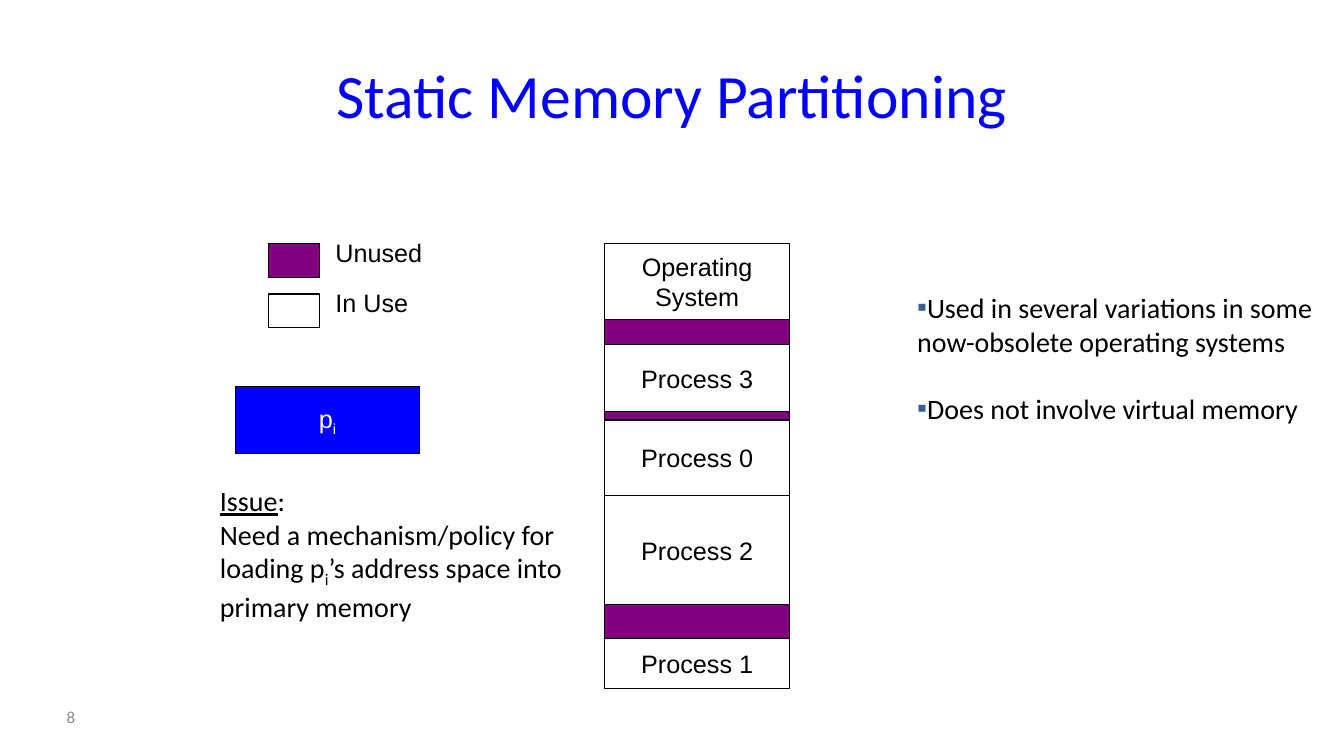
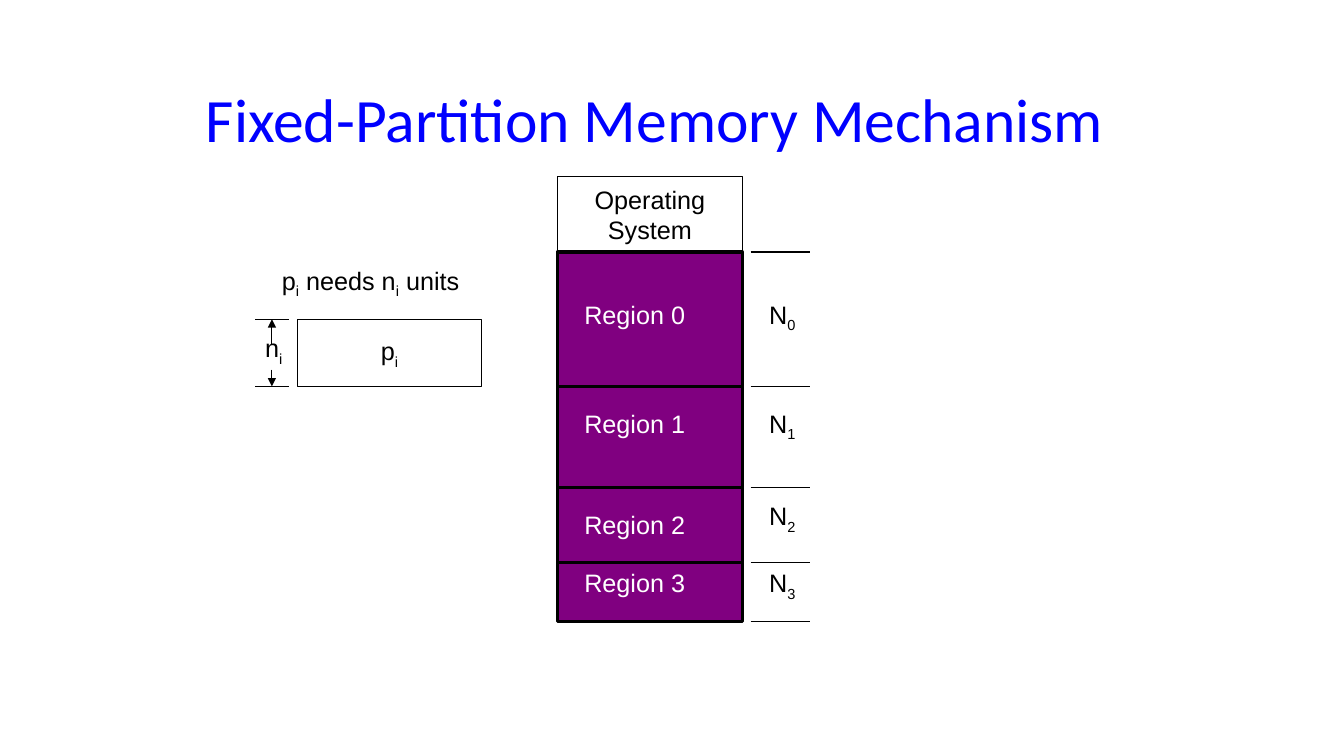
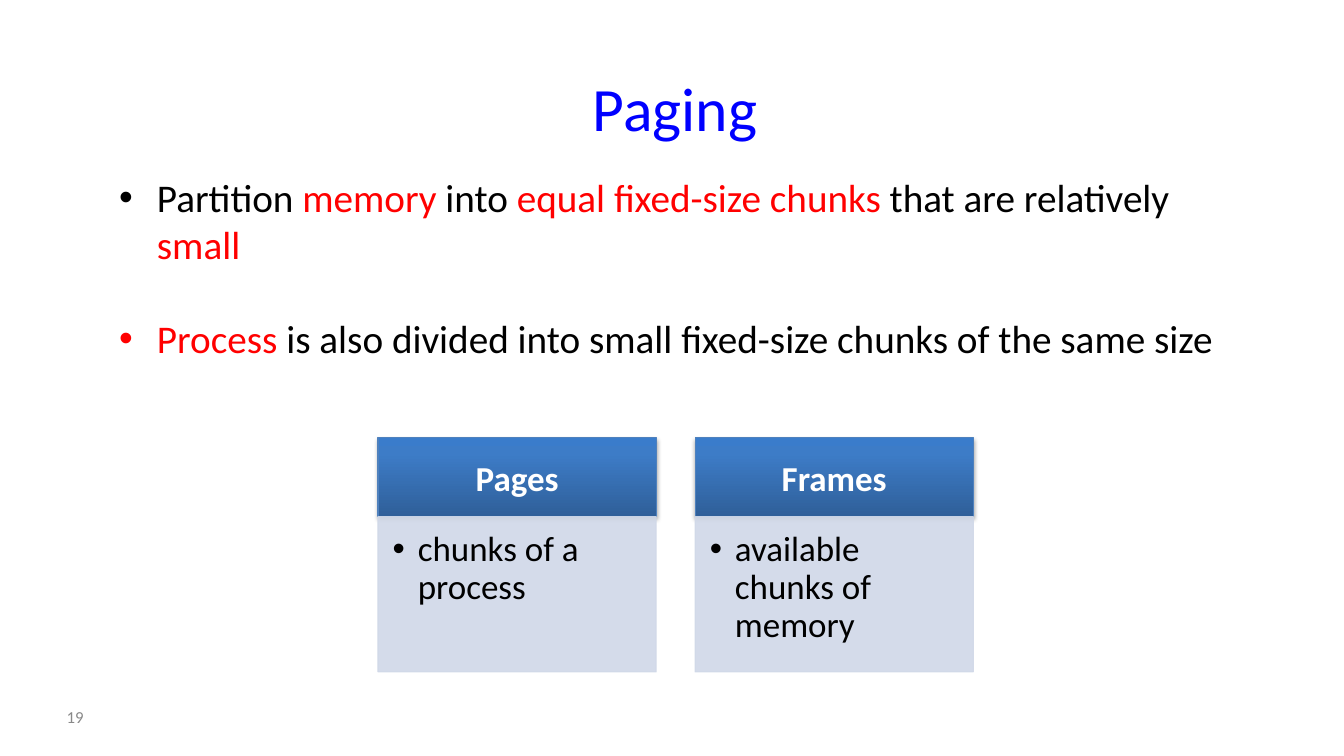
from copy import deepcopy

from lxml import etree
from pptx import Presentation
from pptx.dml.color import RGBColor
from pptx.enum.shapes import MSO_CONNECTOR, MSO_SHAPE
from pptx.enum.text import MSO_ANCHOR, PP_ALIGN
from pptx.oxml.ns import qn
from pptx.util import Emu, Pt

RECTANGLE = MSO_SHAPE.RECTANGLE
STRAIGHT = MSO_CONNECTOR.STRAIGHT
TOP, MIDDLE = MSO_ANCHOR.TOP, MSO_ANCHOR.MIDDLE
LEFT, CENTER = PP_ALIGN.LEFT, PP_ALIGN.CENTER

EMU_PER_PX = 9525
TITLE_ONLY = 5
BLACK, WHITE, BLUE, PURPLE, RED = "000000", "FFFFFF", "0000FF", "800080", "FF0000"
CARD_BODY, CARD_EDGE = "D0D8E8", "4F81BD"
CARD_GRADIENT = [(0, "2F5F99"), (0.8, "3D7CC7"), (1, "3A7CCB")]

# Text formats shared by the slides
TITLE = {"name": "Calibri", "size": Pt(44), "color": BLUE}
NUMBER = {"name": "Calibri", "size": Pt(12), "color": "898989"}
NOTE = {"name": "Calibri", "size": Pt(20), "color": BLACK}
BODY = {"name": "Calibri", "size": Pt(28), "color": BLACK}
CARD_TEXT = {"name": "Calibri", "size": Pt(25), "color": BLACK}
CARD_TITLE = {**CARD_TEXT, "color": WHITE, "bold": True}
LABEL = {"name": "Arial", "size": Pt(18), "color": BLACK}
LIGHT_LABEL = {**LABEL, "color": WHITE}

# Run overrides
SUBSCRIPT = {"baseline": "-25000"}
HIGHLIGHT = {"color": RED}
SUB_I = ("i", SUBSCRIPT)

BLOCK_WIDTH = 176


def px(value):
    return Emu(value * EMU_PER_PX)


def box(*lengths):
    return [px(length) for length in lengths]


def rgb(color):
    return RGBColor.from_string(color)


def add_xml(parent, tag, **attributes):
    return etree.SubElement(parent, qn(tag), attributes)


# Text
def add_run(paragraph, text, text_format):
    run = paragraph.add_run()
    run.text = text
    for key, value in text_format.items():
        if key == "color":
            run.font.color.rgb = rgb(value)
        elif key == "baseline":
            run.font._element.set("baseline", value)
        else:
            setattr(run.font, key, value)


def add_bullet(paragraph, character, margin, indent, color=None):
    properties = paragraph._p.get_or_add_pPr()
    properties.set("marL", str(px(margin)))
    properties.set("indent", str(px(indent)))
    if color:
        add_xml(add_xml(properties, "a:buClr"), "a:srgbClr", val=color)
    add_xml(properties, "a:buFont", typeface="Arial")
    add_xml(properties, "a:buChar", char=character)


def write_text(shape, paragraphs, text_format, align=LEFT, anchor=TOP, wrap=True,
               bullet=None, gap=0, line_spacing=None, insets=None):
    """Each paragraph is a list of runs: plain strings or (text, overrides)."""
    frame = shape.text_frame
    frame.word_wrap = wrap
    frame.vertical_anchor = anchor
    if insets:
        sides = ("margin_left", "margin_top", "margin_right", "margin_bottom")
        for side, inset in zip(sides, insets):
            setattr(frame, side, px(inset))
    for index, runs in enumerate(paragraphs):
        paragraph = frame.add_paragraph() if index else frame.paragraphs[0]
        if bullet:
            add_bullet(paragraph, **bullet)
        paragraph.alignment = align
        if line_spacing:
            paragraph.line_spacing = line_spacing
        if index and gap:
            paragraph.space_before = Pt(gap)
        for run in runs:
            text, overrides = (run, {}) if isinstance(run, str) else run
            add_run(paragraph, text, {**text_format, **overrides})


def add_text(slide, bounds, paragraphs, text_format, **options):
    text_box = slide.shapes.add_textbox(*box(*bounds))
    write_text(text_box, paragraphs, text_format, **options)


def add_label(slide, bounds, runs, text_format=LABEL):
    add_text(slide, bounds, [runs], text_format, wrap=False)


# Shapes and lines
def add_rectangle(slide, bounds, fill, line=BLACK, line_width=0.75):
    shape = slide.shapes.add_shape(RECTANGLE, *box(*bounds))
    shape.shadow.inherit = False
    shape.fill.solid()
    shape.fill.fore_color.rgb = rgb(fill)
    shape.line.color.rgb = rgb(line)
    shape.line.width = Pt(line_width)
    return shape


def add_block(slide, bounds, paragraphs, fill=WHITE, text_format=LABEL):
    shape = add_rectangle(slide, bounds, fill)
    write_text(shape, paragraphs, text_format, align=CENTER, anchor=MIDDLE, wrap=False)


def add_line(slide, start, end, arrow=False):
    connector = slide.shapes.add_connector(STRAIGHT, *box(*start, *end))
    connector.line.color.rgb = rgb(BLACK)
    connector.line.width = Pt(0.75)
    properties = connector._element.spPr
    if arrow:
        add_xml(properties.find(qn("a:ln")), "a:tailEnd", type="triangle")
    add_xml(properties, "a:effectLst")


# Cards
def fill_with_gradient(shape):
    shape.fill.gradient()
    shape.fill.gradient_angle = 90
    stop_list = shape._element.spPr.find(".//" + qn("a:gsLst"))
    stop_list.append(deepcopy(stop_list[0]))
    for stop, (position, color) in zip(shape.fill.gradient_stops, CARD_GRADIENT):
        stop.position = position
        stop.color.rgb = rgb(color)


def add_soft_shadow(shape):
    effects = shape._element.spPr.find(qn("a:effectLst"))
    shadow = add_xml(effects, "a:outerShdw", blurRad=str(Pt(3.1)),
                     dist=str(Pt(1.8)), dir="5400000", rotWithShape="0")
    color = add_xml(shadow, "a:srgbClr", val=BLACK)
    add_xml(color, "a:alpha", val="35000")


def add_card(slide, left, heading, text):
    top, width, header_height, body_height = 417, 265, 75, 148
    header = add_rectangle(slide, (left, top, width, header_height), CARD_EDGE, CARD_EDGE)
    fill_with_gradient(header)
    add_soft_shadow(header)
    write_text(header, [[heading]], CARD_TITLE, align=CENTER, anchor=MIDDLE)

    body = add_rectangle(slide, (left, top + header_height, width, body_height),
                         CARD_BODY, CARD_BODY)
    for color in body._element.spPr.iter(qn("a:srgbClr")):
        add_xml(color, "a:alpha", val="90000")
    write_text(body, [[text]], CARD_TEXT, line_spacing=0.9, insets=(14, 14, 18, 21),
               bullet={"character": "•", "margin": 24, "indent": -24})


# Slide frame
def add_slide(presentation, title, title_bounds, number=None):
    slide = presentation.slides.add_slide(presentation.slide_layouts[TITLE_ONLY])
    placeholder = slide.shapes.title
    sides = ("left", "top", "width", "height")
    for side, length in zip(sides, box(*title_bounds)):
        setattr(placeholder, side, length)
    write_text(placeholder, [[title]], TITLE, align=CENTER, anchor=MIDDLE)
    if number:
        add_text(slide, (54, 664, 138, 38), [[number]], NUMBER, anchor=MIDDLE)
    return slide


def build_static_partitioning(presentation):
    slide = add_slide(presentation, "Static Memory Partitioning", (64, 29, 1152, 120), "8")
    add_text(slide, (864, 272, 416, 280),
             [["Used in several variations in some now-obsolete operating systems"],
              ["Does not involve virtual memory"]], NOTE, gap=24,
             bullet={"character": "▪", "margin": 0, "indent": -31, "color": "376092"})

    # Memory column: height and text lines, none where memory is unused
    memory = [(72, ["Operating", "System"]), (24, []), (64, ["Process 3"]), (8, []),
              (72, ["Process 0"]), (104, ["Process 2"]), (32, []), (48, ["Process 1"])]
    top = 232
    for height, lines in memory:
        bounds = (576, top, BLOCK_WIDTH, height)
        if lines:
            add_block(slide, bounds, [[line] for line in lines])
        else:
            add_rectangle(slide, bounds, PURPLE)
        top += height

    # Legend
    for index, (fill, name, width) in enumerate([(PURPLE, "Unused", 103),
                                                 (WHITE, "In Use", 89)]):
        offset = 48 * index
        add_rectangle(slide, (256, 232 + offset, 48, 32), fill)
        add_label(slide, (310, 221 + offset, width, 38), [name])

    # Waiting process
    add_text(slide, (200, 456, 362, 139),
             [[("Issue", {"underline": True}), ":"],
              ["Need a mechanism/policy for loading p", SUB_I,
               "’s address space into primary memory"]], NOTE)
    add_block(slide, (224, 368, BLOCK_WIDTH, 64), [["p", SUB_I]], BLUE, LIGHT_LABEL)


def build_fixed_partition(presentation):
    slide = add_slide(presentation, "Fixed-Partition Memory Mechanism", (120, 32, 1008, 160))

    # Memory column: region height, then tops of its name and its size
    left, top = 531, 240
    add_block(slide, (left, 168, BLOCK_WIDTH, 72), [["Operating"], ["System"]])
    add_line(slide, (715, top), (771, top))
    regions = [(128, 280, 280), (96, 384, 384), (72, 480, 472), (56, 536, 536)]
    for index, (height, name_top, size_top) in enumerate(regions):
        add_rectangle(slide, (left, top, BLOCK_WIDTH, height), PURPLE, line_width=2.25)
        add_label(slide, (547, name_top, 116, 38), [f"Region {index}"], LIGHT_LABEL)
        add_label(slide, (723, size_top, 46, 38), ["N", (str(index), SUBSCRIPT)])
        top += height
        add_line(slide, (715, top), (771, top))

    # Process and its height
    add_block(slide, (283, 304, BLOCK_WIDTH, 64), [["p", SUB_I]])
    add_label(slide, (259, 248, 191, 38), ["p", SUB_I, " needs n", SUB_I, " units"])
    add_label(slide, (243, 312, 36, 38), ["n", SUB_I])
    for arrow_start, edge in [(328, 304), (352, 368)]:
        add_line(slide, (243, edge), (275, edge))
        add_line(slide, (259, arrow_start), (259, edge), arrow=True)


def build_paging(presentation):
    slide = add_slide(presentation, "Paging", (232, 32, 822, 139), "19")
    add_text(slide, (104, 160, 1080, 448),
             [["Partition ", ("memory", HIGHLIGHT), " into ",
               ("equal fixed-size chunks", HIGHLIGHT), " that are relatively ",
               ("small", HIGHLIGHT)],
              [("Process", HIGHLIGHT),
               " is also divided into small fixed-size chunks of the same size"]],
             BODY, gap=34, bullet={"character": "•", "margin": 36, "indent": -36})
    add_card(slide, 360, "Pages", "chunks of a process")
    add_card(slide, 662, "Frames", "available chunks of memory")


def main():
    presentation = Presentation()
    presentation.slide_width, presentation.slide_height = box(1280, 720)
    build_static_partitioning(presentation)
    build_fixed_partition(presentation)
    build_paging(presentation)
    presentation.save("out.pptx")


if __name__ == "__main__":
    main()
